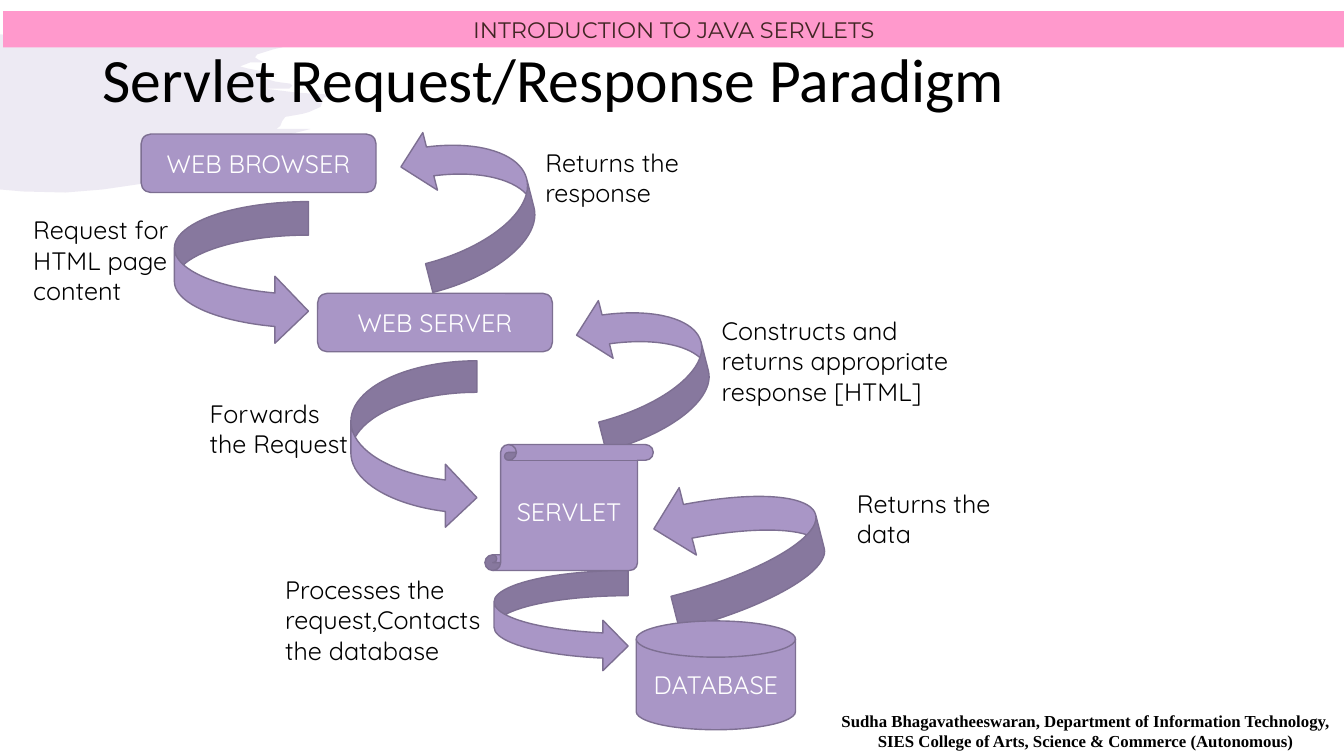
from lxml import etree
from pptx import Presentation
from pptx import util as u
from pptx.dml.color import RGBColor
from pptx.enum import shapes, text
from pptx.oxml import ns

SHAPE = shapes.MSO_SHAPE
LEFT, CENTER = text.PP_ALIGN.LEFT, text.PP_ALIGN.CENTER
TOP, MIDDLE = text.MSO_ANCHOR.TOP, text.MSO_ANCHOR.MIDDLE


def rgb(value):
    return RGBColor.from_string(value)


class Diagram:
    """Draws the styled elements of a flow diagram on one slide."""

    lilac, edge, pink = "A996C6", "7D6F92", "FF99CC"
    black, white, brown = "000000", "FFFFFF", "412624"
    font, size = "Quicksand", 18

    def __init__(self, slide):
        self.slide = slide

    def set_text(self, s, words, color, align=LEFT, anchor=TOP, font=font, size=size, bold=False, spacing=1.0):
        tf = s.text_frame
        tf.word_wrap = True
        tf.vertical_anchor = anchor
        tf.text = words
        for p in tf.paragraphs:
            p.alignment = align
            p.line_spacing = spacing
            p.font.name, p.font.size, p.font.bold = font, u.Pt(size), bold
            p.font.color.rgb = rgb(color)

    def paint(self, s, fill, line=None):
        s.shadow.inherit = False
        s.fill.solid()
        s.fill.fore_color.rgb = rgb(fill)
        if line:
            s.line.color.rgb = rgb(line)
            s.line.width = u.Pt(1)
        else:
            s.line.fill.background()

    def shape(self, kind, box, fill=lilac, line=edge, rotation=0):
        s = self.slide.shapes.add_shape(kind, *map(u.Inches, box))
        self.paint(s, fill, line)
        s.rotation = rotation
        return s

    def node(self, kind, box, words):
        self.set_text(self.shape(kind, box), words, self.white, CENTER, MIDDLE)

    def banner(self, box, words):
        s = self.shape(SHAPE.RECTANGLE, box, self.pink, None)
        self.set_text(s, words, self.brown, CENTER, MIDDLE, "Montserrat", 16)

    def label(self, box, words, **style):
        s = self.slide.shapes.add_textbox(*map(u.Inches, box))
        self.set_text(s, words, self.black, **style)

    def splash(self, points, opacity):
        corners = [(u.Inches(x), u.Inches(y)) for x, y in points]
        builder = self.slide.shapes.build_freeform(*corners[0])
        builder.add_line_segments(corners[1:], close=True)
        s = builder.convert_to_shape()
        self.paint(s, self.lilac)
        color = s.element.spPr.find(".//" + ns.qn("a:srgbClr"))
        etree.SubElement(color, ns.qn("a:alpha"), val=str(opacity * 1000))


SPLASH = [
    (0, 0.34), (0.25, 0.37), (0.66, 0.38), (1.02, 0.37), (1.51, 0.38), (1.94, 0.41),
    (2.48, 0.41), (2.67, 0.42), (2.8, 0.47), (2.71, 0.49), (2.55, 0.54), (2.53, 0.57),
    (2.56, 0.59), (2.62, 0.62), (2.48, 0.62), (2.38, 0.66), (2.46, 0.68), (2.56, 0.7),
    (2.66, 0.71), (2.75, 0.74), (2.51, 0.75), (2.63, 0.78), (2.73, 0.81), (2.8, 0.82),
    (2.88, 0.83), (2.9, 0.85), (2.87, 0.88), (2.84, 0.88), (2.63, 0.88), (2.95, 0.92),
    (3.3, 0.94), (3.21, 0.97), (3.18, 1.06), (3.07, 1.11), (3, 1.13), (2.83, 1.16),
    (2.8, 1.2), (2.78, 1.25), (2.74, 1.28), (3.08, 1.28), (2.69, 1.38), (2.73, 1.42),
    (2.52, 1.48), (2.63, 1.48), (2.3, 1.61), (1.97, 1.72), (1.5, 1.81), (1.02, 1.88),
    (0.65, 1.91), (0.23, 1.9), (0, 1.88),
]
REQUEST_ARROWS = [(1.73, 2, 1.33, 1.42), (3.48, 3.58, 1.25, 1.67), (4.9, 5.66, 1.33, 1)]
RESPONSE_ARROWS = [(6.65, 4.59, 1.38, 1.59), (5.66, 3.02, 1.48, 1.18), (3.88, 1.4, 1.58, 1.18)]
LABELS = [
    ((0.23, 2.08, 1.58, 1.01), "Request for\nHTML page content"),
    ((1.98, 3.9, 1.58, 0.71), "Forwards the Request"),
    ((2.73, 5.65, 2.33, 1.01), "Processes the request,Contacts the database"),
    ((8.4, 4.79, 1.58, 0.71), "Returns the data"),
    ((7.06, 3.08, 2.67, 1.01), "Constructs and returns appropriate response [HTML]"),
    ((5.31, 1.41, 1.58, 0.71), "Returns the response"),
]
NODES = [
    (SHAPE.ROUNDED_RECTANGLE, (1.4, 1.33, 2.33, 0.58), "WEB BROWSER"),
    (SHAPE.ROUNDED_RECTANGLE, (3.15, 2.91, 2.33, 0.58), "WEB SERVER"),
    (SHAPE.VERTICAL_SCROLL, (4.81, 4.41, 1.67, 1.25), "SERVLET"),
    (SHAPE.FLOWCHART_MAGNETIC_DISK, (6.31, 6.16, 1.58, 1.08), "DATABASE"),
]
FOOTER = (
    "Sudha Bhagavatheeswaran, Department of Information Technology,\n"
    "SIES College of Arts, Science & Commerce (Autonomous)"
)


def main():
    prs = Presentation()
    prs.slide_width, prs.slide_height = u.Inches(13.33), u.Inches(7.5)
    d = Diagram(prs.slides.add_slide(prs.slide_layouts[6]))
    d.splash(SPLASH, 20)
    d.label((0.92, 0.4, 11.5, 0.83), "Servlet Request/Response Paradigm",
            anchor=MIDDLE, font="Calibri", size=44, spacing=0.9)
    d.label((7.39, 7, 6.76, 0.5), FOOTER,
            align=CENTER, font="Times New Roman", size=12, bold=True)
    d.banner((0.03, 0.11, 13.31, 0.36), "INTRODUCTION TO JAVA SERVLETS")
    for box in REQUEST_ARROWS:
        d.shape(SHAPE.CURVED_RIGHT_ARROW, box)
    for box in RESPONSE_ARROWS:
        d.shape(SHAPE.CURVED_UP_ARROW, box, rotation=255.7)
    for box, words in LABELS:
        d.label(box, words)
    for kind, box, words in NODES:
        d.node(kind, box, words)
    prs.save("out.pptx")


if __name__ == "__main__":
    main()
